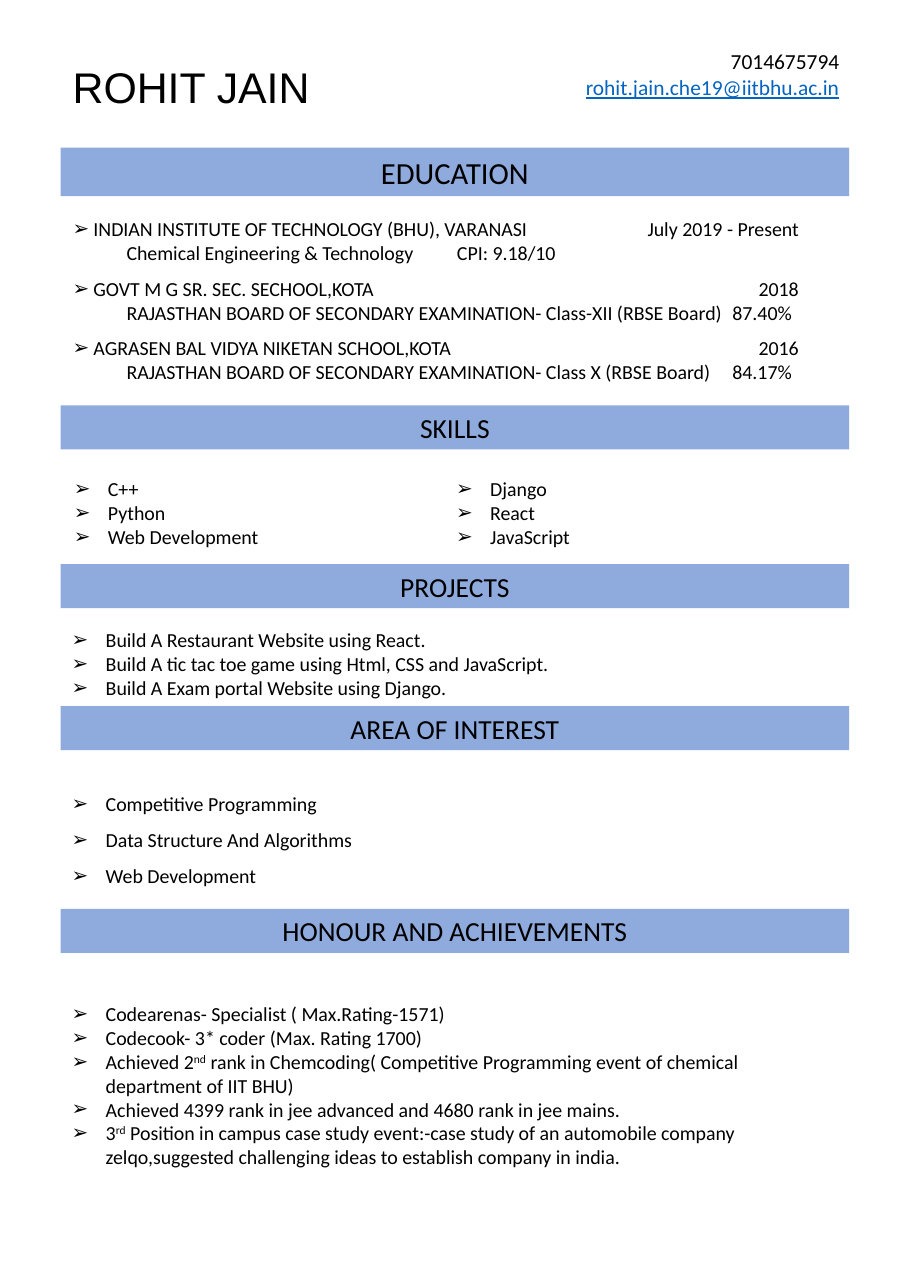
from lxml import etree
from pptx import Presentation
from pptx.dml.color import RGBColor
from pptx.enum.shapes import MSO_SHAPE
from pptx.enum.text import MSO_ANCHOR, MSO_AUTO_SIZE, PP_ALIGN
from pptx.oxml.ns import qn
from pptx.util import Inches, Pt

COLORS = {"band": "8FAADC", "text": "000000", "email": "0563C1"}
BAND_LEFT, BAND_WIDTH = 0.55, 7.16
LIST_INDENT = 0.31

BANDS = [
    ("EDUCATION", 1.34, 0.44, 20),
    ("SKILLS", 3.68, 0.4, 18),
    ("PROJECTS", 5.12, 0.4, 18),
    ("AREA OF INTEREST", 6.41, 0.4, 18),
    ("HONOUR AND ACHIEVEMENTS", 8.25, 0.4, 18),
]
SCHOOLS = [
    ("INDIAN INSTITUTE OF TECHNOLOGY (BHU), VARANASI", "July 2019 - Present",
     "Chemical Engineering & Technology", "CPI: 9.18/10"),
    ("GOVT M G SR. SEC. SECHOOL,KOTA", "2018",
     "RAJASTHAN BOARD OF SECONDARY EXAMINATION- Class-XII (RBSE Board)", "87.40%"),
    ("AGRASEN BAL VIDYA NIKETAN SCHOOL,KOTA", "2016",
     "RAJASTHAN BOARD OF SECONDARY EXAMINATION- Class X (RBSE Board)", "84.17%"),
]
SKILLS = ["C++", "Python", "Web Development", "Django", "React", "JavaScript"]
PROJECTS = [
    "Build A Restaurant Website using React.",
    "Build A tic tac toe game using Html, CSS and JavaScript.",
    "Build A Exam portal Website using Django.",
]
INTERESTS = ["Competitive Programming", "Data Structure And Algorithms", "Web Development"]
ACHIEVEMENTS = [
    "Codearenas- Specialist ( Max.Rating-1571)",
    "Codecook- 3* coder (Max. Rating 1700)",
    "Achieved 2^nd^ rank in Chemcoding( Competitive Programming event of chemical "
    "department of IIT BHU)",
    "Achieved 4399 rank in jee advanced and 4680 rank in jee mains.",
    "3^rd^ Position in campus case study event:-case study of an automobile company "
    "zelqo,suggested challenging ideas to establish company in india.",
]


def place(shape, box):
    """Move a shape to a (left, top, width, height) box in inches."""
    shape.left, shape.top, shape.width, shape.height = map(Inches, box)


def set_frame(shape, anchor=MSO_ANCHOR.TOP, auto_size=MSO_AUTO_SIZE.NONE):
    """Prepare and return a wrapping text frame."""
    frame = shape.text_frame
    frame.word_wrap = True
    frame.auto_size = auto_size
    frame.vertical_anchor = anchor
    return frame


def add_paragraph(frame, text, size, font="Calibri", color="text",
                  align=PP_ALIGN.LEFT, spacing=1.0):
    """Write the next paragraph, raising the parts between carets."""
    first = frame.paragraphs[0]
    paragraph = frame.add_paragraph() if first.runs else first
    paragraph.alignment = align
    paragraph.line_spacing = spacing
    paragraph.space_before = paragraph.space_after = Pt(0)
    for index, part in enumerate(text.split("^")):
        run = paragraph.add_run()
        run.text = part
        run.font.name, run.font.size, run.font.bold = font, Pt(size), False
        run.font.color.rgb = RGBColor.from_string(COLORS[color])
        if index % 2:
            run.font._element.set("baseline", "30000")
    return paragraph


def set_indent(paragraph, margin, bullet=True):
    """Indent a paragraph, hanging an arrow bullet if wanted."""
    props = paragraph._p.get_or_add_pPr()
    props.set("marL", str(Inches(margin)))
    props.set("indent", str(-Inches(margin) if bullet else 0))
    if bullet:
        etree.SubElement(props, qn("a:buFont"), typeface="Arial")
        etree.SubElement(props, qn("a:buChar"), char="➢")


def add_right_tab(paragraph, position):
    """Give a paragraph one right-aligned tab stop."""
    tabs = etree.SubElement(paragraph._p.get_or_add_pPr(), qn("a:tabLst"))
    etree.SubElement(tabs, qn("a:tab"), pos=str(Inches(position)), algn="r")


def draw_name(title, box):
    """Fill the title placeholder with the name."""
    place(title, box)
    add_paragraph(set_frame(title), "ROHIT JAIN", 28, font="Arial")


def draw_contact(slide, box):
    """Add the right-aligned phone and e-mail lines."""
    frame = set_frame(slide.shapes.add_textbox(*map(Inches, box)))
    add_paragraph(frame, "7014675794", 14, align=PP_ALIGN.RIGHT)
    email = add_paragraph(frame, "rohit.jain.che19@iitbhu.ac.in", 14,
                          color="email", align=PP_ALIGN.RIGHT)
    email.runs[0].font.underline = True


def draw_band(slide, box, heading, size):
    """Add a coloured section heading."""
    band = slide.shapes.add_shape(MSO_SHAPE.RECTANGLE, *map(Inches, box))
    band.shadow.inherit = False
    band.fill.solid()
    band.fill.fore_color.rgb = RGBColor.from_string(COLORS["band"])
    band.line.fill.background()
    add_paragraph(set_frame(band, MSO_ANCHOR.MIDDLE), heading, size, align=PP_ALIGN.CENTER)


def draw_education(slide, box):
    """Add the schools with dates and marks at a right tab."""
    frame = set_frame(slide.shapes.add_textbox(*map(Inches, box)), MSO_ANCHOR.MIDDLE)
    for index, (school, date, course, mark) in enumerate(SCHOOLS):
        heading = add_paragraph(frame, f"{school}\t{date}", 13, spacing=1.5 if index else 1.0)
        set_indent(heading, 0.19)
        detail = add_paragraph(frame, f"{course}\t{mark}", 13)
        set_indent(detail, 0.49, bullet=False)
        for line in (heading, detail):
            add_right_tab(line, box[2] - 0.24)


def draw_list(body, box, items, spacing=1.0, columns=1):
    """Fill a body placeholder with a bulleted list."""
    place(body, box)
    frame = set_frame(body, auto_size=MSO_AUTO_SIZE.SHAPE_TO_FIT_TEXT)
    frame._txBody.bodyPr.set("numCol", str(columns))
    for item in items:
        set_indent(add_paragraph(frame, item, 13, spacing=spacing), LIST_INDENT)


def draw_resume(slide):
    """Lay out all sections of the page."""
    title, skills, projects, interests, achievements = slide.placeholders
    draw_name(title, (0.56, 0.5, 3.58, 0.69))
    draw_contact(slide, (4.71, 0.39, 3.01, 0.57))
    for heading, top, height, size in BANDS:
        draw_band(slide, (BAND_LEFT, top, BAND_WIDTH, height), heading, size)
    draw_education(slide, (0.56, 1.91, 6.98, 1.63))
    draw_list(skills, (0.57, 4.28, 7.14, 0.76), SKILLS, columns=2)
    draw_list(projects, (BAND_LEFT, 5.65, BAND_WIDTH, 0.76), PROJECTS)
    draw_list(interests, (BAND_LEFT, 7.03, BAND_WIDTH, 1.05), INTERESTS, spacing=1.5)
    draw_list(achievements, (BAND_LEFT, 9.04, BAND_WIDTH, 1.64), ACHIEVEMENTS)


presentation = Presentation()
presentation.slide_width = Inches(8.27)
presentation.slide_height = Inches(11.69)
draw_resume(presentation.slides.add_slide(presentation.slide_layouts.get_by_name("Comparison")))
presentation.save("out.pptx")
